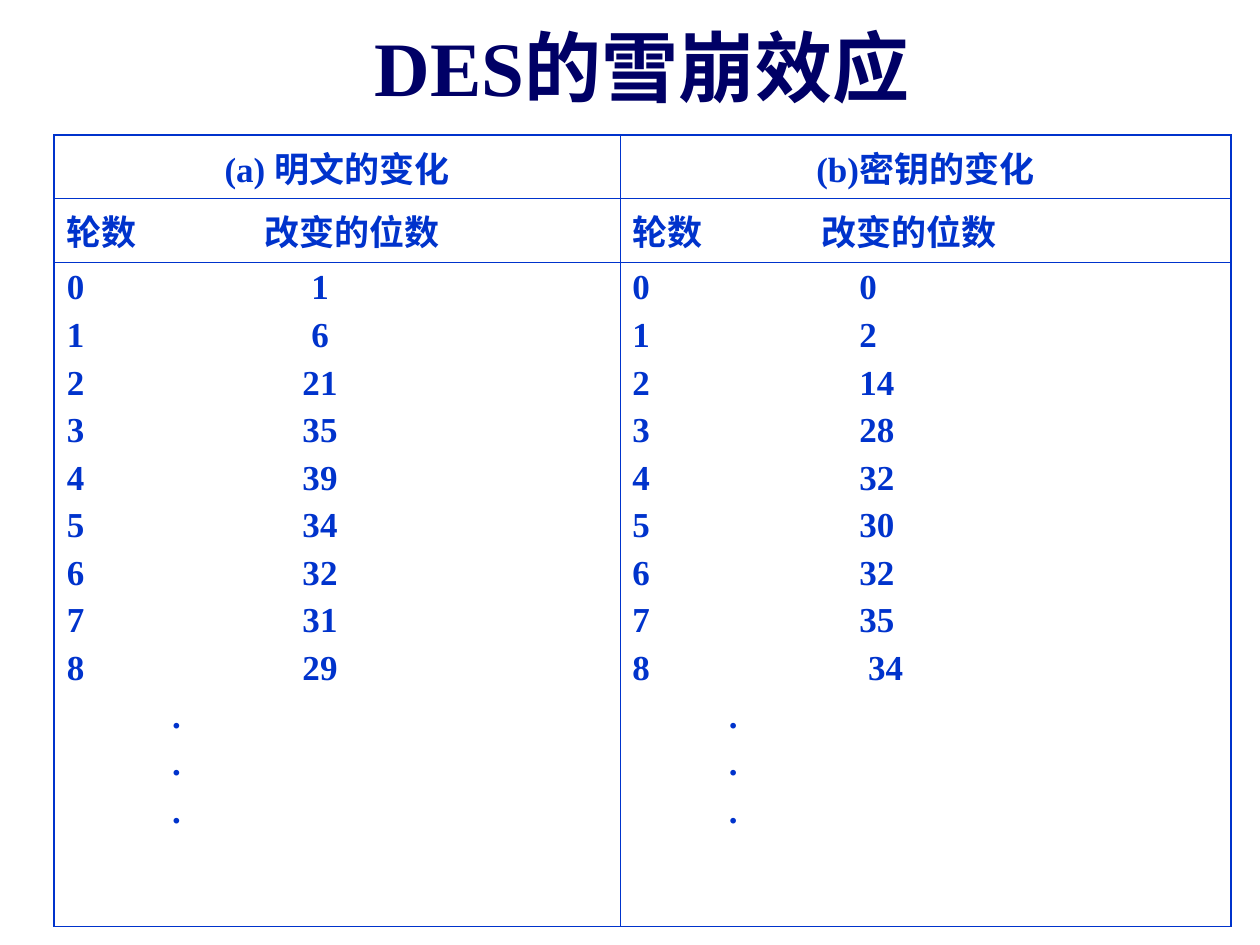
from dataclasses import dataclass
from lxml.etree import SubElement
from pptx import Presentation
from pptx.dml.color import RGBColor
from pptx.enum.text import MSO_ANCHOR, PP_ALIGN
from pptx.oxml.ns import qn
from pptx.util import Emu, Inches, Pt

COLORS = {"title": "000066", "table": "0033CC"}
SERIF, SANS = "Times New Roman", "Arial"
WIDTH, HEIGHT = Inches(10), Inches(7.5)
LEFT, TABLE_TOP = 0.043, 0.143
COLUMNS = (0.449, 0.485)
ROWS = (0.0673, 0.0673, 0.7027)
OUTER_LINE, INNER_LINE = 1.08, 0.45
DOT_COUNT = 3


@dataclass(frozen=True)
class TabStop:
    inches: float
    align: str


@dataclass(frozen=True)
class Panel:
    heading: str
    bits: tuple[str, ...]
    label_tab: TabStop
    bits_tab: TabStop
    dot_tab: TabStop


PANELS = (
    Panel("(a) 明文的变化", ("1", "6", "21", "35", "39", "34", "32", "31", "29"),
          TabStop(1.57, "l"), TabStop(2.01, "ctr"), TabStop(0.87, "ctr")),
    Panel("(b)密钥的变化", ("0", "2", "14", "28", "32", "30", "32", "35", " 34"),
          TabStop(1.5, "l"), TabStop(1.8, "l"), TabStop(0.8, "ctr")),
)


def share(fraction: float, length: int) -> Emu:
    return Emu(round(fraction * length))


def format_run(run, size: float, color: str, font: str = SERIF) -> None:
    run.font.name = font
    run.font.size = Pt(size)
    run.font.bold = True
    run.font.color.rgb = RGBColor.from_string(COLORS[color])


def add_tab(paragraph, tab: TabStop) -> None:
    tab_list = SubElement(paragraph._p.get_or_add_pPr(), qn("a:tabLst"))
    SubElement(tab_list, qn("a:tab"), pos=str(Inches(tab.inches)), algn=tab.align)


def draw_borders(cell, row: int, column: int) -> None:
    properties = cell._tc.get_or_add_tcPr()
    outer_sides = {"L": column == 0, "R": column == len(COLUMNS) - 1,
                   "T": row == 0, "B": row == len(ROWS) - 1}
    for side, is_outer in outer_sides.items():
        width = Pt(OUTER_LINE if is_outer else INNER_LINE)
        line = SubElement(properties, qn(f"a:ln{side}"), w=str(width))
        fill = SubElement(line, qn("a:solidFill"))
        SubElement(fill, qn("a:srgbClr"), val=COLORS["table"])


def fill_cell(cell, lines: list[tuple[str, TabStop | None]], align: PP_ALIGN) -> None:
    text_frame = cell.text_frame
    text_frame.text = "\n".join(text for text, _ in lines)
    for index, (paragraph, (_, tab)) in enumerate(zip(text_frame.paragraphs, lines)):
        if tab:
            add_tab(paragraph, tab)
        paragraph.alignment = align
        paragraph.space_before = Pt(5 if index else 0)
        for run in paragraph.runs:
            format_run(run, 20, "table")


def draw_panel(table, column: int, panel: Panel) -> None:
    rounds = [(f"{number}\t{bits}", panel.bits_tab) for number, bits in enumerate(panel.bits)]
    dots = [("\t.", panel.dot_tab)] * DOT_COUNT
    contents = (
        ([(panel.heading, None)], PP_ALIGN.CENTER),
        ([("轮数\t改变的位数", panel.label_tab)], PP_ALIGN.LEFT),
        (rounds + dots, PP_ALIGN.LEFT),
    )
    for row, (lines, align) in enumerate(contents):
        cell = table.cell(row, column)
        draw_borders(cell, row, column)
        cell.fill.background()
        fill_cell(cell, lines, align)


def draw_title(slide) -> None:
    title = slide.shapes.title
    title.left, title.top = share(LEFT, WIDTH), share(0.028, HEIGHT)
    title.width, title.height = share(sum(COLUMNS), WIDTH), share(0.084, HEIGHT)
    text_frame = title.text_frame
    text_frame.text = "DES"
    text_frame.vertical_anchor = MSO_ANCHOR.MIDDLE
    paragraph = text_frame.paragraphs[0]
    paragraph.alignment = PP_ALIGN.CENTER
    format_run(paragraph.runs[0], 44, "title")
    subject = paragraph.add_run()
    subject.text = "的雪崩效应"
    format_run(subject, 44, "title", SANS)


def draw_table(slide) -> None:
    table = slide.shapes.add_table(
        len(ROWS), len(COLUMNS), share(LEFT, WIDTH), share(TABLE_TOP, HEIGHT),
        share(sum(COLUMNS), WIDTH), share(sum(ROWS), HEIGHT)).table
    table.first_row = table.horz_banding = False
    for row, fraction in zip(table.rows, ROWS):
        row.height = share(fraction, HEIGHT)
    for column, fraction in zip(table.columns, COLUMNS):
        column.width = share(fraction, WIDTH)
    for index, panel in enumerate(PANELS):
        draw_panel(table, index, panel)


def main() -> None:
    presentation = Presentation()
    presentation.slide_width, presentation.slide_height = WIDTH, HEIGHT
    slide = presentation.slides.add_slide(presentation.slide_layouts[5])
    draw_title(slide)
    draw_table(slide)
    presentation.save("out.pptx")


if __name__ == "__main__":
    main()
